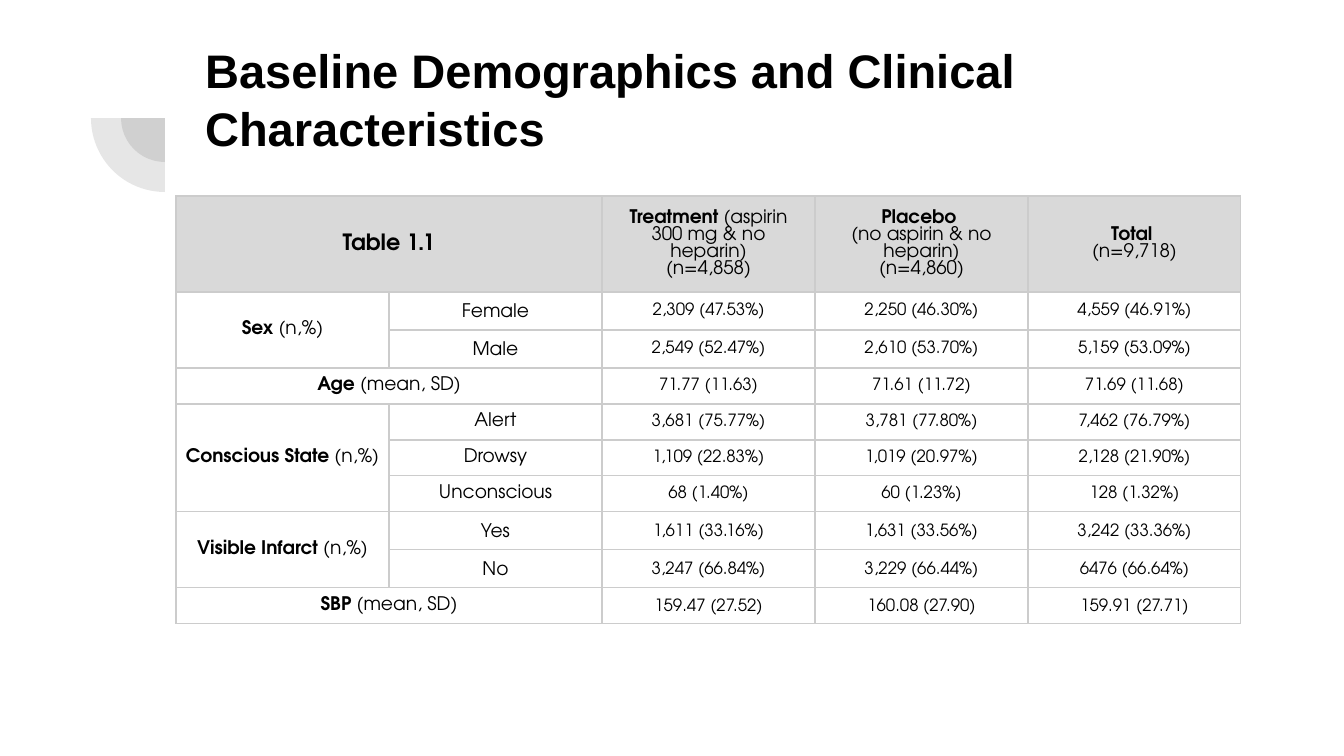
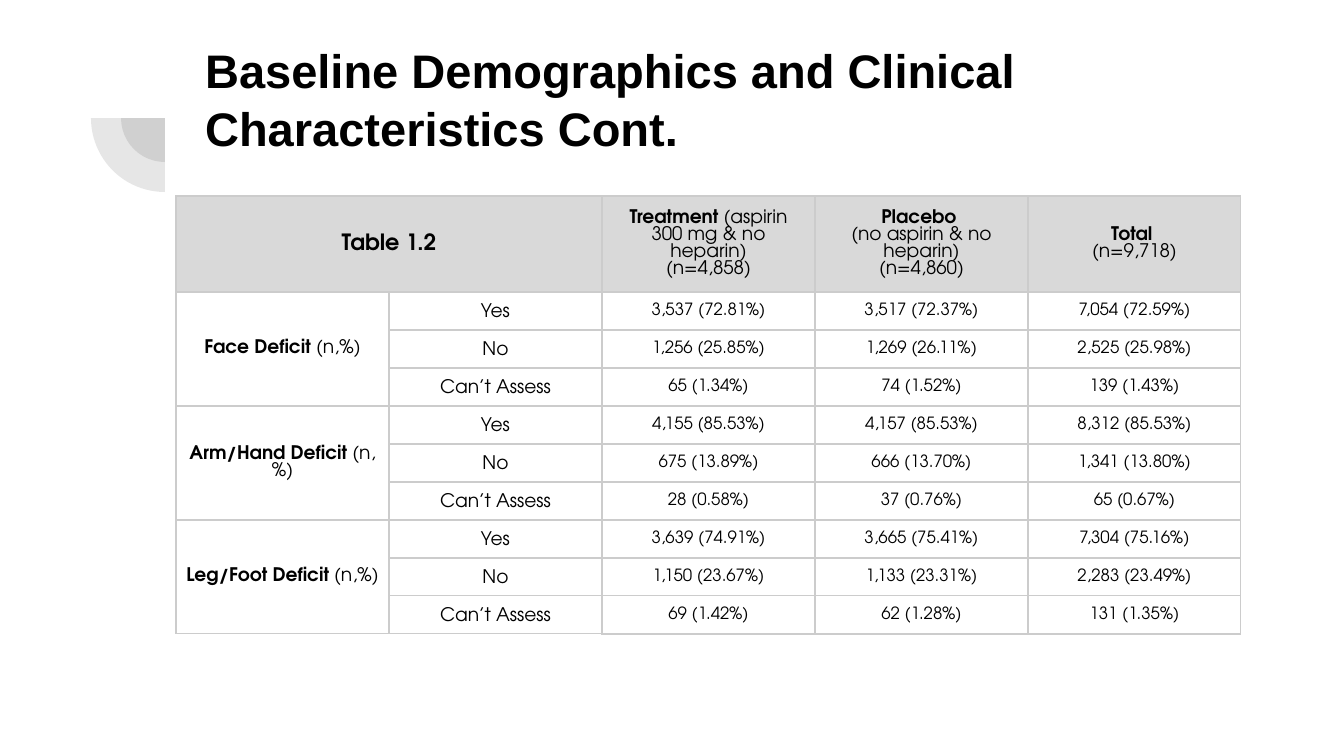
import pptx
import pptx.dml.color
import pptx.enum.shapes
import pptx.enum.text
import pptx.oxml
import pptx.oxml.ns
import pptx.util

SCALE = 914400 / 134.4
TITLE_FONT = "Arial"
TABLE_FONT = "TeX Gyre Adventor"
BLACK, GREY, HEADER_FILL, BORDER = "000000", "424242", "D9D9D9", "CCCCCC"
TITLE_BOX = (192, 26, 1034, 146)
TABLE_BOX = (176, 196, 1065, 430)
HEADER_HEIGHT, PLAIN_HEIGHT, SPACED_HEIGHT = 96, 36, 38
WIDE_INSET, NARROW_INSET = 13, 9
MIDDLE = pptx.enum.text.MSO_ANCHOR.MIDDLE
TOP = pptx.enum.text.MSO_ANCHOR.TOP

ARMS = [
    [[("Treatment ", True), ("(aspirin 300 mg & no heparin)", False)],
     [("(n=4,858)", False)]],
    [[("Placebo ", True)], [("(no aspirin & no heparin)", False)],
     [("(n=4,860)", False)]],
    [[("Total ", True)], [("(n=9,718)", False)]],
]

# Each group: bold heading, plain heading, label spaced, values spaced, rows.
DEMOGRAPHICS = [
    ("Sex ", "(n,%)", True, False, [
        ("Female", "2,309 (47.53%)", "2,250 (46.30%)", "4,559 (46.91%)"),
        ("Male", "2,549 (52.47%)", "2,610 (53.70%)", "5,159 (53.09%)")]),
    ("Age ", "(mean, SD)", False, False, [
        (None, "71.77 (11.63)", "71.61 (11.72)", "71.69 (11.68)")]),
    ("Conscious State", " (n,%)", False, False, [
        ("Alert", "3,681 (75.77%)", "3,781 (77.80%)", "7,462 (76.79%)"),
        ("Drowsy", "1,109 (22.83%)", "1,019 (20.97%)", "2,128 (21.90%)"),
        ("Unconscious", "68 (1.40%)", "60 (1.23%)", "128 (1.32%)")]),
    ("Visible Infarct", " (n,%)", True, True, [
        ("Yes", "1,611 (33.16%)", "1,631 (33.56%)", "3,242 (33.36%)"),
        ("No", "3,247 (66.84%)", "3,229 (66.44%)", "6476 (66.64%)")]),
    ("SBP ", "(mean, SD)", False, True, [
        (None, "159.47 (27.52)", "160.08 (27.90)", "159.91 (27.71)")]),
]

DEFICITS = [
    ("Face Deficit ", "(n,%)", True, True, [
        ("Yes", "3,537 (72.81%)", "3,517 (72.37%)", "7,054 (72.59%)"),
        ("No", "1,256 (25.85%)", "1,269 (26.11%)", "2,525 (25.98%)"),
        ("Can’t Assess", "65 (1.34%)", "74 (1.52%)", "139 (1.43%)")]),
    ("Arm/Hand Deficit ", "(n,%)", True, True, [
        ("Yes", "4,155 (85.53%)", "4,157 (85.53%)", "8,312 (85.53%)"),
        ("No", "675 (13.89%)", "666 (13.70%)", "1,341 (13.80%)"),
        ("Can’t Assess", "28 (0.58%)", "37 (0.76%)", "65 (0.67%)")]),
    ("Leg/Foot Deficit", " (n,%)", True, True, [
        ("Yes", "3,639 (74.91%)", "3,665 (75.41%)", "7,304 (75.16%)"),
        ("No", "1,150 (23.67%)", "1,133 (23.31%)", "2,283 (23.49%)"),
        ("Can’t Assess", "69 (1.42%)", "62 (1.28%)", "131 (1.35%)")]),
]


def px(n):
    return pptx.util.Emu(round(n * SCALE))


def rgb(color):
    return pptx.dml.color.RGBColor.from_string(color)


def add_run(p, text, font, size, bold):
    r = p.add_run()
    r.text = text
    r.font.name = font
    r.font.size = pptx.util.Pt(size)
    r.font.bold = bold
    r.font.color.rgb = rgb(BLACK)


def set_insets(target, inset):
    target.margin_left = target.margin_right = px(inset)
    target.margin_top = target.margin_bottom = px(inset)


def add_quarter_rings(s, layout, center_x, center_y):
    for size in (88, 148):
        sp = s.shapes.add_shape(
            pptx.enum.shapes.MSO_SHAPE.PIE, px(center_x - size / 2),
            px(center_y - size / 2), px(size), px(size))
        sp.adjustments[0] = 108
        sp.adjustments[1] = 162
        sp.rotation = 270
        sp.shadow.inherit = False
        sp.line.fill.background()
        sp.fill.solid()
        sp.fill.fore_color.rgb = rgb(GREY)
        color = sp.element.spPr.find(".//" + pptx.oxml.ns.qn("a:srgbClr"))
        color.append(pptx.oxml.parse_xml(
            f'<a:alpha {pptx.oxml.ns.nsdecls("a")} val="13000"/>'))
        layout.shapes.element.append(sp.element)


def set_title(s, box, text):
    sp = s.shapes.title
    sp.left, sp.top, sp.width, sp.height = map(px, box)
    tf = sp.text_frame
    tf.word_wrap = True
    tf.auto_size = pptx.enum.text.MSO_AUTO_SIZE.NONE
    tf.vertical_anchor = TOP
    set_insets(tf, WIDE_INSET)
    p = tf.paragraphs[0]
    p.alignment = pptx.enum.text.PP_ALIGN.LEFT
    p.line_spacing = 1.04
    add_run(p, text, TITLE_FONT, 25.2, True)


def style_cell(cell, fill, bottom):
    if fill:
        cell.fill.solid()
        cell.fill.fore_color.rgb = rgb(fill)
    else:
        cell.fill.background()
    tcPr = cell._tc.get_or_add_tcPr()
    for i, side in enumerate("LRTB"):
        width = pptx.util.Pt(bottom if side == "B" else 0.75)
        tcPr.insert(i, pptx.oxml.parse_xml(
            f'<a:ln{side} {pptx.oxml.ns.nsdecls("a")} w="{width}"><a:solidFill>'
            f'<a:srgbClr val="{BORDER}"/></a:solidFill></a:ln{side}>'))


def write_cell(cell, paragraphs, size, inset=NARROW_INSET, spaced=False,
               anchor=MIDDLE):
    set_insets(cell, inset)
    cell.vertical_anchor = anchor
    tf = cell.text_frame
    for i, runs in enumerate(paragraphs):
        p = tf.add_paragraph() if i else tf.paragraphs[0]
        p.alignment = pptx.enum.text.PP_ALIGN.CENTER
        if spaced:
            p.line_spacing = 1.15
            p.space_before = p.space_after = pptx.util.Pt(12)
        for text, bold in runs:
            add_run(p, text, TABLE_FONT, size, bold)


def write_header(table, name):
    table.rows[0].height = px(HEADER_HEIGHT)
    table.cell(0, 0).merge(table.cell(0, 1))
    write_cell(table.cell(0, 0), [[(name, True)]], 12, WIDE_INSET)
    for col, paragraphs in enumerate(ARMS, 2):
        write_cell(table.cell(0, col), paragraphs, 10, WIDE_INSET)


def write_group(table, first, group, value_anchor):
    bold, plain, label_spaced, values_spaced, rows = group
    head = table.cell(first, 0)
    has_labels = rows[0][0] is not None
    head.merge(table.cell(first + len(rows) - 1, 0 if has_labels else 1))
    write_cell(head, [[(bold, True), (plain, False)]], 10,
               WIDE_INSET if first == 1 else NARROW_INSET)
    for row, (label, *values) in enumerate(rows, first):
        table.rows[row].height = px(SPACED_HEIGHT if label_spaced else PLAIN_HEIGHT)
        if has_labels:
            write_cell(table.cell(row, 1), [[(label, False)]], 10,
                       spaced=label_spaced)
        for col, value in enumerate(values, 2):
            write_cell(table.cell(row, col), [[(value, False)]], 9,
                       spaced=values_spaced, anchor=value_anchor)


def add_baseline_table(s, box, name, groups, value_anchor, last_border):
    row_count = 1 + sum(len(group[-1]) for group in groups)
    table = s.shapes.add_table(row_count, 5, *map(px, box)).table
    table.first_row = table.horz_banding = False
    for column in table.columns:
        column.width = px(box[2] / 5)
    for row in range(row_count):
        for col in range(5):
            last_value = row == row_count - 1 and col > 1
            style_cell(table.cell(row, col), None if row else HEADER_FILL,
                       last_border if last_value else 0.75)
    write_header(table, name)
    first = 1
    for group in groups:
        write_group(table, first, group, value_anchor)
        first += len(group[-1])


def add_table_slide(prs, layout, title, *table_parts):
    s = prs.slides.add_slide(layout)
    set_title(s, TITLE_BOX, title)
    add_baseline_table(s, TABLE_BOX, *table_parts)
    return s


def main():
    prs = pptx.Presentation()
    prs.slide_width, prs.slide_height = px(1344), px(756)
    layout = prs.slide_layouts[5]
    title = "Baseline Demographics and Clinical Characteristics"
    s = add_table_slide(prs, layout, title, "Table 1.1", DEMOGRAPHICS, MIDDLE, 0.75)
    add_quarter_rings(s, layout, 165, 118)
    add_table_slide(prs, layout, title + " Cont.", "Table 1.2", DEFICITS, TOP, 1)
    prs.save("out.pptx")


if __name__ == "__main__":
    main()
